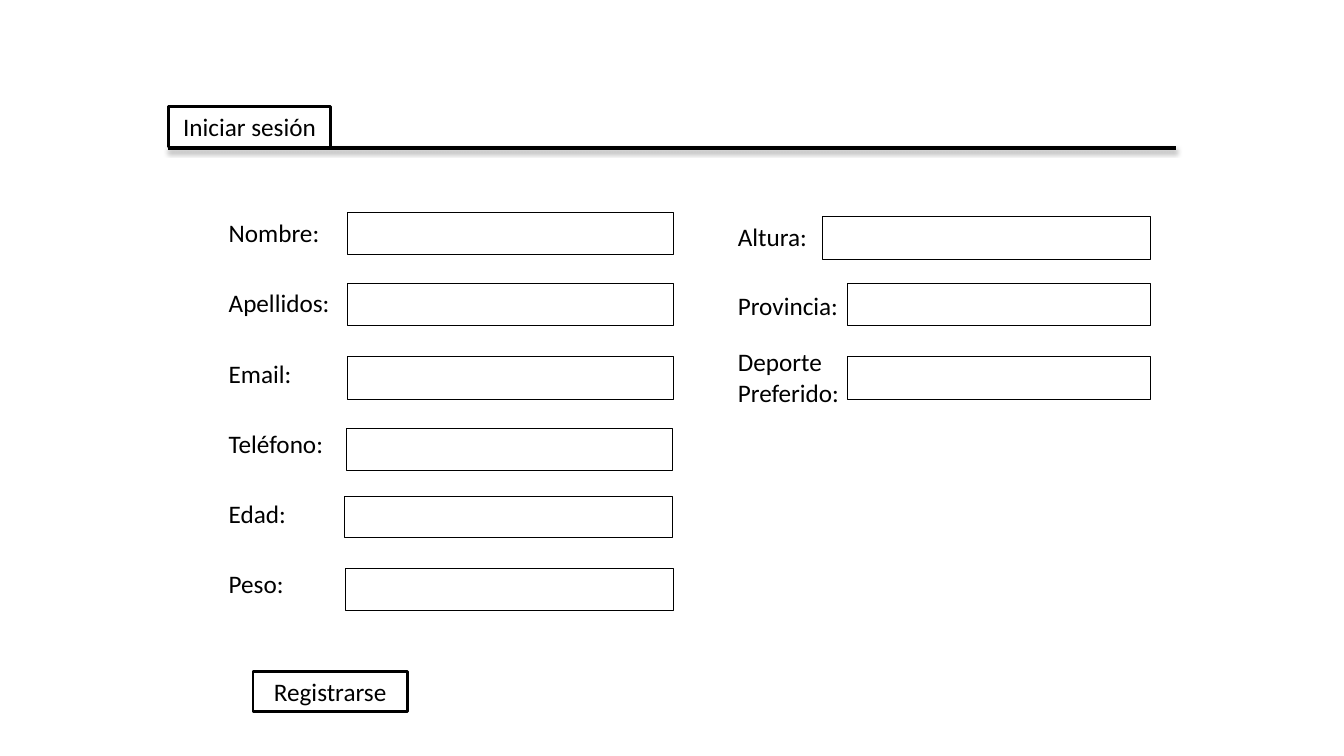
import pptx
import pptx.dml.color
import pptx.enum.shapes
import pptx.enum.text
import pptx.oxml
import pptx.oxml.ns
import pptx.util

PX = 9144  # 100 px to the inch
COLORS = {"ink": "000000", "paper": "FFFFFF"}
FONT = {"name": "Calibri", "size": pptx.util.Pt(18)}
CENTER = {"alignment": pptx.enum.text.PP_ALIGN.CENTER}
FRAME = {"word_wrap": True, "vertical_anchor": pptx.enum.text.MSO_ANCHOR.TOP}
LABEL_GAP = {"space_before": pptx.util.Pt(28.5)}

LEFT_LABELS = ["Nombre:", "Apellidos:", "Email:", "Teléfono:", "Edad:", "Peso:"]
# Boxes are left, top, width, height, relative to their region
LEFT_FIELDS = [(128, 0, 323, 42), (128, 70, 323, 42), (128, 143, 323, 42),
               (127, 214, 323, 42), (125, 282, 325, 40), (126, 353, 325, 42)]
RIGHT_FIELDS = [("Altura:", (0, 0, 143, 40), (94, 0, 325, 42)),
                ("Provincia:", (0, 68, 143, 40), (119, 66, 300, 42)),
                ("Deporte Preferido:", (0, 124, 143, 71), (119, 139, 300, 42))]


def apply(target, values):
    for name, value in values.items():
        setattr(target, name, value)


def color(name):
    return pptx.dml.color.RGBColor.from_string(COLORS[name])


def place(origin, box):
    left, top, width, height = box
    return [n * PX for n in (origin[0] + left, origin[1] + top, width, height)]


def write(shape, lines, first=None, later=None):
    apply(shape.text_frame, FRAME)
    shape.text_frame.text = "\n".join(lines)
    for index, paragraph in enumerate(shape.text_frame.paragraphs):
        apply(paragraph, (later if index else first) or {})
        apply(paragraph.font, FONT)
        paragraph.font.color.rgb = color("ink")


def add_label(slide, origin, box, lines, later=None):
    write(slide.shapes.add_textbox(*place(origin, box)), lines, later=later)


def add_box(slide, origin, box, line_width=0.75):
    shape = slide.shapes.add_shape(
        pptx.enum.shapes.MSO_SHAPE.RECTANGLE, *place(origin, box))
    shape.shadow.inherit = False
    shape.fill.solid()
    shape.fill.fore_color.rgb = color("paper")
    shape.line.color.rgb = color("ink")
    shape.line.width = pptx.util.Pt(line_width)
    return shape


def add_button(slide, origin, box, text):
    write(add_box(slide, origin, box, 2), [text], first=CENTER)


def add_header(slide, left, top, width, height):
    # Rule with a soft shadow, under the tab
    bottom = top + height
    rule = slide.shapes.add_connector(
        pptx.enum.shapes.MSO_CONNECTOR.STRAIGHT,
        left * PX, bottom * PX, (left + width) * PX, bottom * PX)
    rule.line.color.rgb = color("ink")
    rule.line.width = pptx.util.Pt(3)
    rule._element.spPr.append(pptx.oxml.parse_xml(
        f'<a:effectLst {pptx.oxml.ns.nsdecls("a")}>'
        f'<a:outerShdw blurRad="{pptx.util.Pt(3.1)}" dist="{pptx.util.Pt(1.8)}"'
        ' dir="5400000" rotWithShape="0">'
        f'<a:srgbClr val="{COLORS["ink"]}"><a:alpha val="35000"/></a:srgbClr>'
        '</a:outerShdw></a:effectLst>'))
    add_button(slide, (left, top), (0, 0, 161, 40), "Iniciar sesión")


def add_left_column(slide, left, top, width, height):
    add_label(slide, (left, top), (0, 0, width, height), LEFT_LABELS, LABEL_GAP)
    for box in LEFT_FIELDS:
        add_box(slide, (left, top), box)


def add_right_column(slide, left, top):
    for text, label_box, field_box in RIGHT_FIELDS:
        add_box(slide, (left, top), field_box)
        add_label(slide, (left, top), label_box, [text])


def main():
    presentation = pptx.Presentation()
    apply(presentation, {"slide_width": 1333 * PX, "slide_height": 750 * PX})
    slide = presentation.slides.add_slide(presentation.slide_layouts[6])
    add_header(slide, 167, 106, 999, 41)
    add_left_column(slide, 217, 211, 126, 395)
    add_right_column(slide, 722, 215)
    add_button(slide, (251, 666), (0, 0, 153, 40), "Registrarse")
    presentation.save("out.pptx")


if __name__ == "__main__":
    main()
